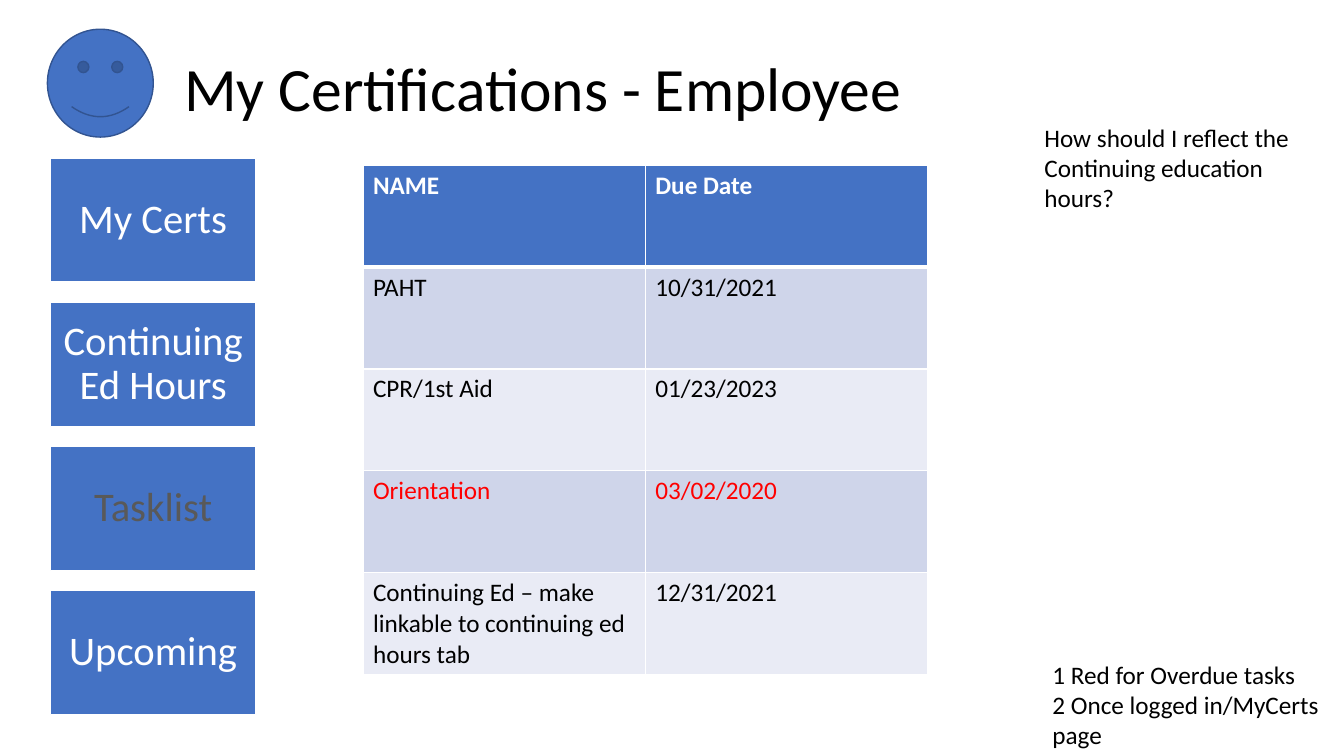
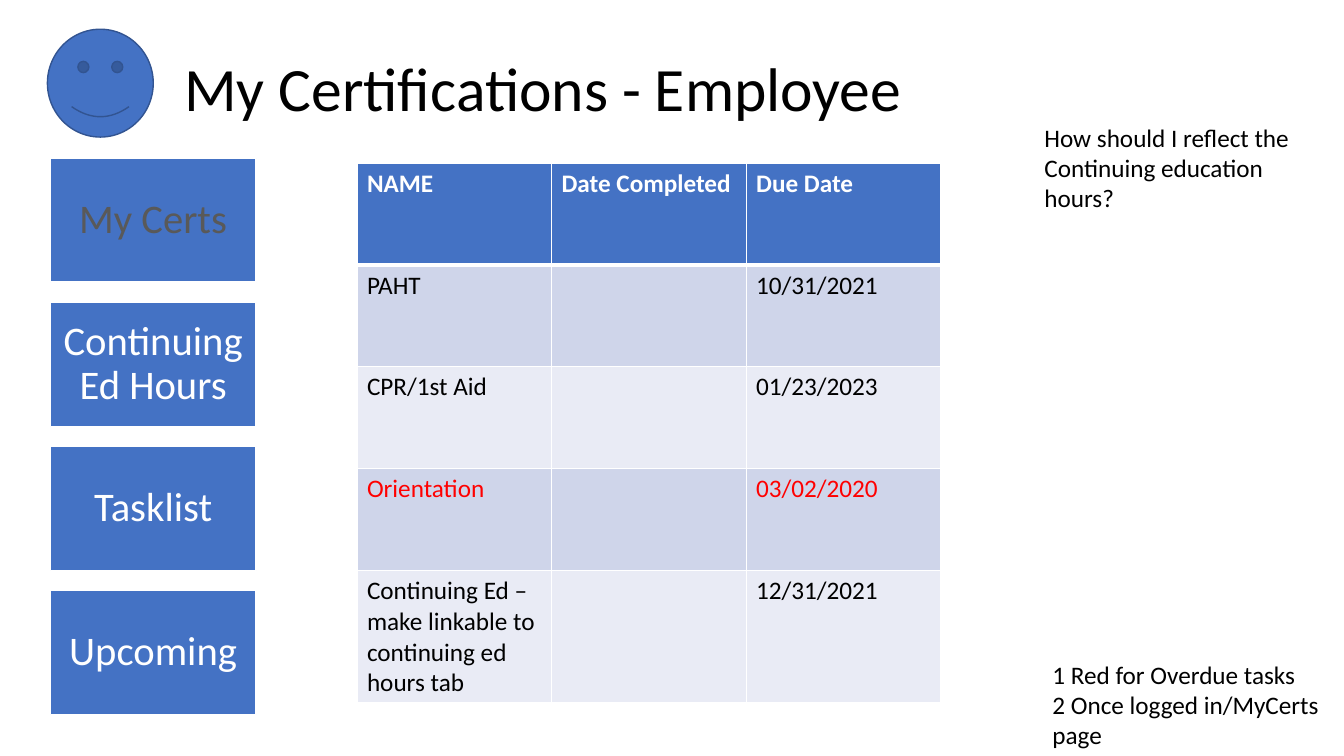
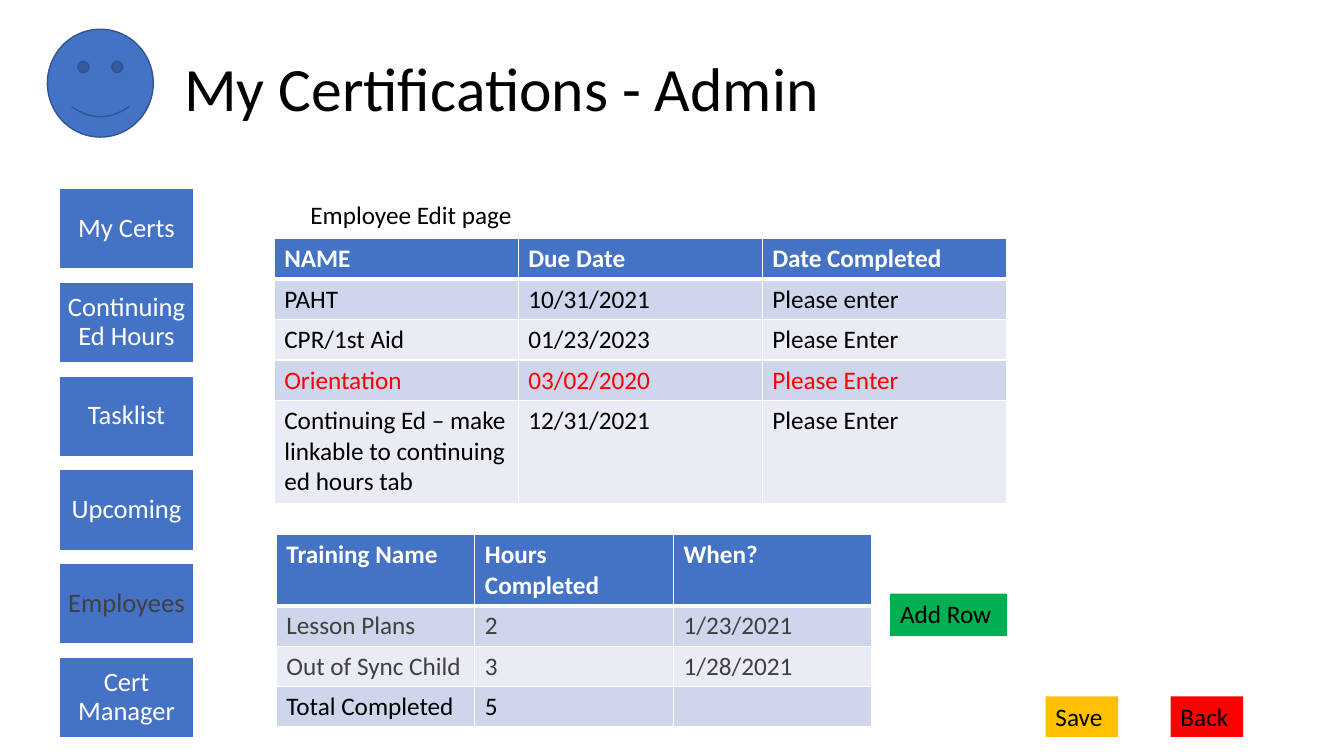
from lxml.etree import SubElement
from pptx import Presentation
from pptx.dml.color import RGBColor
from pptx.enum.shapes import MSO_SHAPE
from pptx.enum.text import MSO_ANCHOR, PP_ALIGN
from pptx.oxml.ns import qn
from pptx.util import Inches, Pt

FONT = "Calibri"
WHITE = RGBColor(0xFF, 0xFF, 0xFF)
BLACK = RGBColor(0x00, 0x00, 0x00)
BLUE = RGBColor(0x44, 0x72, 0xC4)
NAVY = RGBColor(0x32, 0x54, 0x91)
BAND_DARK = RGBColor(0xCF, 0xD5, 0xEA)
BAND_LIGHT = RGBColor(0xE9, 0xEB, 0xF5)
RED = RGBColor(0xFF, 0x00, 0x00)
GREEN = RGBColor(0x00, 0xB0, 0x50)
AMBER = RGBColor(0xFF, 0xC0, 0x00)
GREY = RGBColor(0x59, 0x59, 0x59)
DARK_GREY = RGBColor(0x40, 0x40, 0x40)

MENU = ["My Certs", "Continuing Ed Hours", "Tasklist", "Upcoming"]
ADMIN_MENU = MENU + ["Employees", "Cert Manager"]
CERTS = [
    ("PAHT", "10/31/2021"),
    ("CPR/1st Aid", "01/23/2023"),
    ("Orientation", "03/02/2020"),
    ("Continuing Ed – make linkable to continuing ed hours tab", "12/31/2021"),
]
OVERDUE = {3: RED}


def set_font(p, size, color, bold=False):
    p.font.name = FONT
    p.font.size = Pt(size)
    p.font.color.rgb = color
    p.font.bold = bold


def add_text(s, box, lines, size=18, anchor=MSO_ANCHOR.TOP, spacing=1.0):
    tf = s.shapes.add_textbox(*map(Inches, box)).text_frame
    tf.word_wrap = True
    tf.vertical_anchor = anchor
    tf.text = "\n".join(lines)
    for p in tf.paragraphs:
        p.line_spacing = spacing
        set_font(p, size, BLACK)


def add_block(s, kind, box, fill, line=None):
    sp = s.shapes.add_shape(kind, *map(Inches, box))
    sp.shadow.inherit = False
    sp.fill.solid()
    sp.fill.fore_color.rgb = fill
    if line is None:
        sp.line.fill.background()
    else:
        sp.line.color.rgb = line
        sp.line.width = Pt(1)
    return sp


def add_button(s, box, label, fill):
    tf = add_block(s, MSO_SHAPE.RECTANGLE, box, fill).text_frame
    tf.vertical_anchor = MSO_ANCHOR.TOP
    tf.text = label
    p = tf.paragraphs[0]
    p.alignment = PP_ALIGN.LEFT
    set_font(p, 18, BLACK)


def add_menu(s, labels, box, pitch, size, inset, current, current_color):
    left, top, width, height = box
    for i, label in enumerate(labels):
        item_box = (left, top + i * pitch, width, height)
        tf = add_block(s, MSO_SHAPE.RECTANGLE, item_box, BLUE, WHITE).text_frame
        tf.margin_left = tf.margin_right = Inches(inset)
        tf.margin_top = tf.margin_bottom = Inches(inset)
        tf.word_wrap = True
        tf.vertical_anchor = MSO_ANCHOR.MIDDLE
        tf.text = label
        p = tf.paragraphs[0]
        p.alignment = PP_ALIGN.CENTER
        p.line_spacing = 0.9
        set_font(p, size, current_color if label == current else WHITE)


def set_borders(cell, bottom):
    tcPr = cell._tc.get_or_add_tcPr()
    for side, width in (("L", 1), ("R", 1), ("T", 1), ("B", bottom)):
        ln = SubElement(tcPr, qn(f"a:ln{side}"), w=str(Pt(width)))
        fill = SubElement(ln, qn("a:solidFill"))
        SubElement(fill, qn("a:srgbClr"), val=str(WHITE))


def add_grid(s, left, top, col_width, heights, rows, colors):
    cols = len(rows[0])
    table = s.shapes.add_table(
        len(rows), cols, Inches(left), Inches(top),
        Inches(col_width * cols), Inches(sum(heights)),
    ).table
    for col in table.columns:
        col.width = Inches(col_width)
    for i, (row, height) in enumerate(zip(rows, heights)):
        table.rows[i].height = Inches(height)
        header = i == 0
        band = BLUE if header else BAND_DARK if i % 2 else BAND_LIGHT
        color = WHITE if header else colors.get(i, BLACK)
        for j, value in enumerate(row):
            cell = table.cell(i, j)
            set_borders(cell, 3 if header else 1)
            cell.fill.solid()
            cell.fill.fore_color.rgb = band
            cell.text = value
            set_font(cell.text_frame.paragraphs[0], 18, color, header)


def add_page(prs, title):
    s = prs.slides.add_slide(prs.slide_layouts[6])
    add_text(s, (1.73, 0.18, 11.5, 1.45), [title], 44, MSO_ANCHOR.MIDDLE, 0.9)
    add_block(s, MSO_SHAPE.SMILEY_FACE, (0.47, 0.29, 1.05, 1.07), BLUE, NAVY)
    return s


def add_employee_page(prs, current):
    s = add_page(prs, "My Certifications - Employee")
    add_menu(s, MENU, (0.5, 1.57, 2.04, 1.23), 1.43, 29, 0.12, current, GREY)
    add_text(s, (10.34, 6.49, 3, 1.01),
             ["1 Red for Overdue tasks", "2 Once logged in/MyCerts page"])
    add_text(s, (10.26, 1.16, 3, 1.01),
             ["How should I reflect the Continuing education hours?"])
    return s


def add_admin_page(prs):
    s = add_page(prs, "My Certifications - Admin")
    add_menu(s, ADMIN_MENU, (0.59, 1.87, 1.33, 0.8), 0.93, 19, 0.07,
             "Employees", DARK_GREY)
    add_text(s, (2.98, 1.93, 7.59, 0.42), ["Employee Edit page"])
    entries = ["Please enter"] + ["Please Enter"] * 3
    certs = [("NAME", "Due Date", "Date Completed")]
    certs += [(*cert, entry) for cert, entry in zip(CERTS, entries)]
    add_grid(s, 2.72, 2.37, 2.42, [0.4] * 4 + [1.02], certs, OVERDUE)
    trainings = [
        ("Training Name", "Hours Completed", "When?"),
        ("Lesson Plans", "2", "1/23/2021"),
        ("Out of Sync Child", "3", "1/28/2021"),
        ("Total Completed", "5", ""),
    ]
    add_grid(s, 2.74, 5.3, 1.97, [0.71] + [0.4] * 3, trainings,
             {1: DARK_GREY, 2: DARK_GREY})
    add_button(s, (8.83, 5.89, 1.16, 0.42), "Add Row", GREEN)
    add_button(s, (10.37, 6.91, 0.72, 0.4), "Save", AMBER)
    add_button(s, (11.61, 6.91, 0.72, 0.4), "Back", RED)


def main():
    prs = Presentation()
    prs.slide_width = Inches(13.33)
    prs.slide_height = Inches(7.5)

    s = add_employee_page(prs, "Tasklist")
    add_grid(s, 3.6, 1.64, 2.8, [1.01] * 5,
             [("NAME", "Due Date")] + CERTS, OVERDUE)

    s = add_employee_page(prs, "My Certs")
    rows = [("NAME", "Date Completed", "Due Date")]
    rows += [(name, "", due) for name, due in CERTS]
    add_grid(s, 3.54, 1.62, 1.93, [1.01] * 4 + [1.31], rows, OVERDUE)

    add_admin_page(prs)
    prs.save("out.pptx")


if __name__ == "__main__":
    main()
